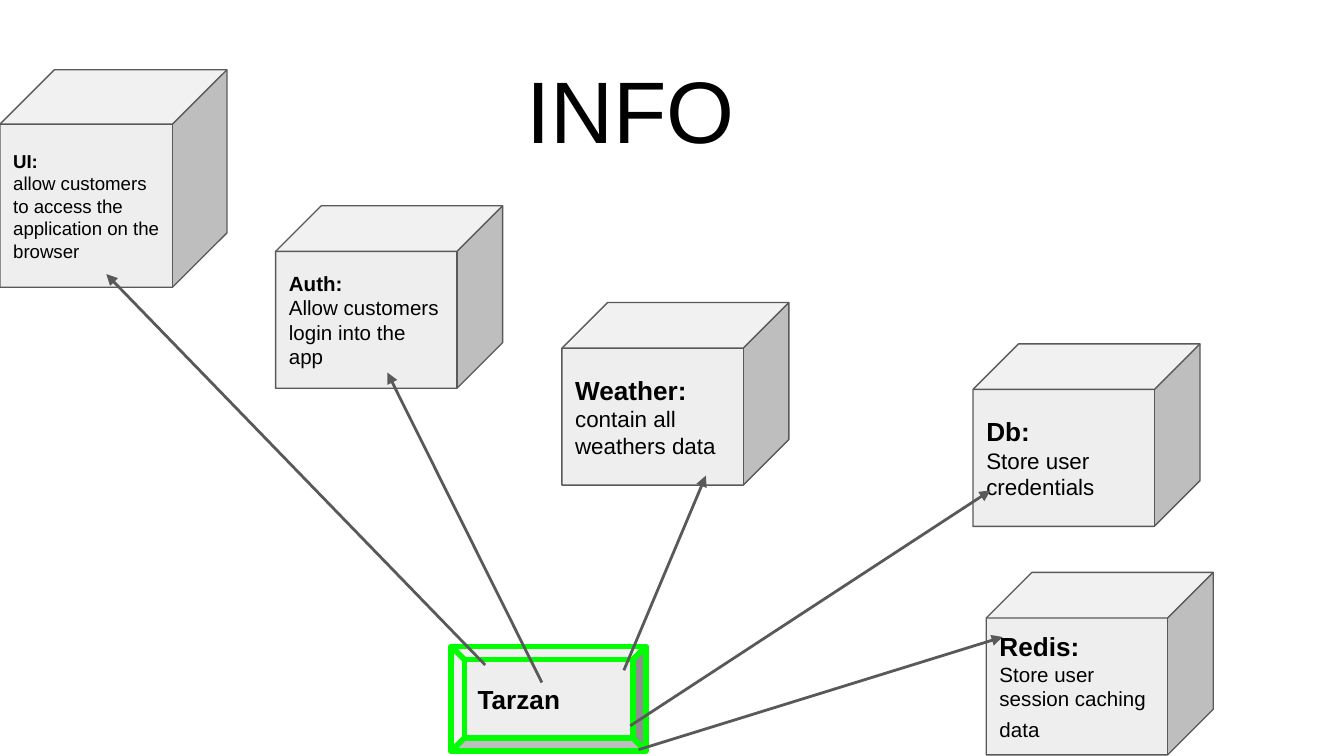
from typing import NamedTuple

from lxml import etree
from pptx import Presentation
from pptx.dml.color import RGBColor
from pptx.enum.shapes import MSO_CONNECTOR, MSO_SHAPE
from pptx.enum.text import MSO_ANCHOR, PP_ALIGN
from pptx.oxml.ns import qn
from pptx.util import Cm, Pt

CUBE, BEVEL = MSO_SHAPE.CUBE, MSO_SHAPE.BEVEL
STRAIGHT = MSO_CONNECTOR.STRAIGHT
MIDDLE, BOTTOM = MSO_ANCHOR.MIDDLE, MSO_ANCHOR.BOTTOM
LEFT, CENTER = PP_ALIGN.LEFT, PP_ALIGN.CENTER

FONT = "Arial"
INSET = Cm(0.25)
COLORS = {"fill": "EEEEEE", "line": "595959", "accent": "00FF00", "text": "000000"}


class Run(NamedTuple):
    text: str
    size: float
    bold: bool = False


class Node(NamedTuple):
    left: float
    top: float
    paragraphs: list[list[Run]]
    width: float = 4.29
    height: float = 3.45
    shape: MSO_SHAPE = CUBE
    line: str = "line"
    line_width: float = 0.75


class Arrow(NamedTuple):
    x1: float
    y1: float
    x2: float
    y2: float


NODES = [
    Node(0, 1.32, [[Run("UI:", 10, True)],
                   [Run("allow customers to access the application on the browser", 10)]],
         height=4.11),
    Node(5.21, 3.89, [[Run("Auth:", 11, True)],
                      [Run("Allow customers login into the app", 11)]]),
    Node(10.62, 5.72, [[Run("Weather: ", 14, True), Run("contain all weathers data", 12)]]),
    Node(18.39, 6.5, [[Run("Db:", 14, True)], [Run("Store user credentials", 12)]]),
    Node(18.64, 10.82, [[Run("Redis:", 14, True)],
                        [Run("Store user session caching data", 11), Run(" ", 14)]]),
    Node(8.53, 12.22, [[Run("Tarzan", 14, True)]], 3.68, 1.98, BEVEL, "accent", 3),
]

ARROWS = [
    Arrow(9.17, 12.57, 2.01, 5.18),
    Arrow(10.24, 12.9, 7.32, 7.04),
    Arrow(11.79, 12.67, 13.34, 8.99),
    Arrow(11.91, 13.72, 18.72, 9.27),
    Arrow(12.07, 14.17, 18.95, 12.04),
]


def rgb(name: str) -> RGBColor:
    return RGBColor.from_string(COLORS[name])


def write_text(sp, paragraphs: list[list[Run]], anchor=MIDDLE, align=LEFT) -> None:
    tf = sp.text_frame
    tf.word_wrap = True
    tf.vertical_anchor = anchor
    tf.margin_left = tf.margin_right = tf.margin_top = tf.margin_bottom = INSET
    for i, runs in enumerate(paragraphs):
        p = tf.paragraphs[0] if i == 0 else tf.add_paragraph()
        p.alignment = align
        for run in runs:
            r = p.add_run()
            r.text = run.text
            r.font.name = FONT
            r.font.size = Pt(run.size)
            r.font.bold = run.bold
            r.font.color.rgb = rgb("text")


def add_node(s, node: Node) -> None:
    sp = s.shapes.add_shape(node.shape, Cm(node.left), Cm(node.top),
                            Cm(node.width), Cm(node.height))
    sp.shadow.inherit = False
    sp.fill.solid()
    sp.fill.fore_color.rgb = rgb("fill")
    sp.line.color.rgb = rgb(node.line)
    sp.line.width = Pt(node.line_width)
    write_text(sp, node.paragraphs)


def add_arrow(s, arrow: Arrow) -> None:
    c = s.shapes.add_connector(STRAIGHT, *(Cm(v) for v in arrow))
    c.line.color.rgb = rgb("line")
    c.line.width = Pt(1.5)
    etree.SubElement(c.line._get_or_add_ln(), qn("a:tailEnd"), type="triangle")
    etree.SubElement(c._element.spPr, qn("a:effectLst"))


def main() -> None:
    prs = Presentation()
    prs.slide_width, prs.slide_height = Cm(25.4), Cm(14.29)
    s = prs.slides.add_slide(prs.slide_layouts[6])
    title = s.shapes.add_textbox(Cm(4.6), Cm(0.79), Cm(14.63), Cm(2.51))
    write_text(title, [[Run("INFO", 46.8)]], BOTTOM, CENTER)
    for node in NODES:
        add_node(s, node)
    for arrow in ARROWS:
        add_arrow(s, arrow)
    prs.save("out.pptx")


if __name__ == "__main__":
    main()
